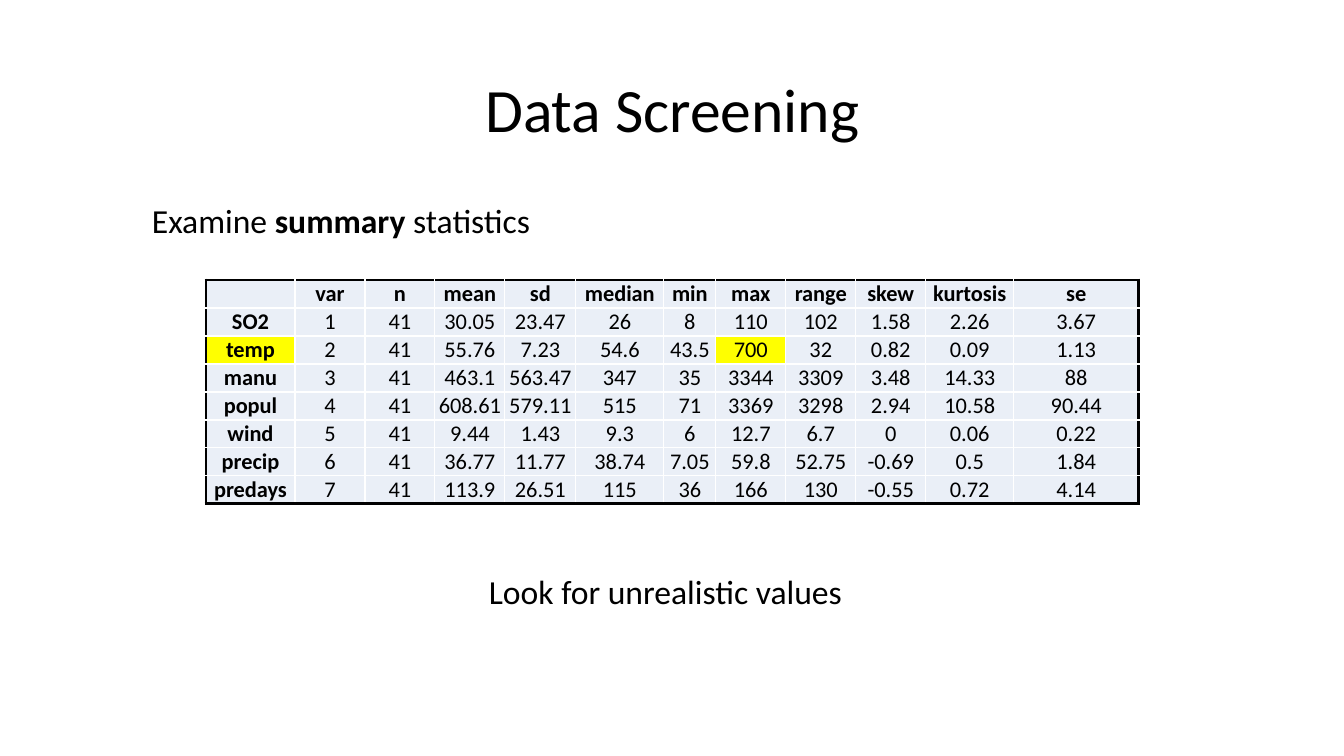
import dataclasses

import lxml.etree
import pptx
import pptx.dml.color
import pptx.enum.text
import pptx.oxml.ns
import pptx.util

SCALE = 12192000 / 1344
ALIGN = pptx.enum.text.PP_ALIGN
ANCHOR = pptx.enum.text.MSO_ANCHOR
FIT = pptx.enum.text.MSO_AUTO_SIZE


@dataclasses.dataclass(frozen=True)
class Theme:
    font: str = "Calibri"
    ink: str = "000000"
    pale: str = "EAEFF7"
    mark: str = "FFFF00"
    grid: str = "FFFFFF"
    title: int = 44
    body: int = 24
    cell: int = 16
    thin: float = 1
    thick: float = 2.25


THEME = Theme()

HEADS = ["", "var", "n", "mean", "sd", "median", "min", "max", "range", "skew", "kurtosis", "se"]
ROWS = [
    ["SO2", "1", "41", "30.05", "23.47", "26", "8", "110", "102", "1.58", "2.26", "3.67"],
    ["temp", "2", "41", "55.76", "7.23", "54.6", "43.5", "700", "32", "0.82", "0.09", "1.13"],
    ["manu", "3", "41", "463.1", "563.47", "347", "35", "3344", "3309", "3.48", "14.33", "88"],
    ["popul", "4", "41", "608.61", "579.11", "515", "71", "3369", "3298", "2.94", "10.58", "90.44"],
    ["wind", "5", "41", "9.44", "1.43", "9.3", "6", "12.7", "6.7", "0", "0.06", "0.22"],
    ["precip", "6", "41", "36.77", "11.77", "38.74", "7.05", "59.8", "52.75", "-0.69", "0.5", "1.84"],
    ["predays", "7", "41", "113.9", "26.51", "115", "36", "166", "130", "-0.55", "0.72", "4.14"],
]
WIDTHS = [89, 70, 70, 70, 71, 88, 52, 70, 70, 70, 88, 125]
MARKED = {(2, 0), (2, 7)}


def px(count):
    return pptx.util.Emu(round(count * SCALE))


def tint(code):
    return pptx.dml.color.RGBColor.from_string(code)


def put(frame, text, size, bold=False, align=ALIGN.LEFT, space=None):
    para = frame.paragraphs[0]
    para.alignment = align
    para.line_spacing = space
    for place, part in enumerate(text.split("*")):
        if part:
            run = para.add_run()
            run.text = part
            run.font.name = THEME.font
            run.font.size = pptx.util.Pt(size)
            run.font.bold = bold or place % 2 == 1
            run.font.color.rgb = tint(THEME.ink)
    if not text:
        para._p.get_or_add_endParaRPr().set("sz", str(size * 100))


def head(slide, box, text):
    shape = slide.shapes.title
    shape.left, shape.top, shape.width, shape.height = map(px, box)
    frame = shape.text_frame
    frame.auto_size = FIT.NONE
    frame.vertical_anchor = ANCHOR.MIDDLE
    put(frame, text, THEME.title, align=ALIGN.CENTER, space=0.9)


def note(slide, box, text):
    frame = slide.shapes.add_textbox(*map(px, box)).text_frame
    frame.word_wrap = False
    frame.auto_size = FIT.SHAPE_TO_FIT_TEXT
    put(frame, text, THEME.body)


def edge(cell, side, outer):
    width, code = (THEME.thick, THEME.ink) if outer else (THEME.thin, THEME.grid)
    name = pptx.oxml.ns.qn
    line = lxml.etree.SubElement(cell._tc.get_or_add_tcPr(), name("a:ln" + side))
    line.set("w", str(pptx.util.Pt(width)))
    fill = lxml.etree.SubElement(line, name("a:solidFill"))
    lxml.etree.SubElement(fill, name("a:srgbClr")).set("val", code)


def chart(slide, box, data):
    tall, wide = len(data), len(WIDTHS)
    table = slide.shapes.add_table(tall, wide, *map(px, box)).table
    table.first_row = table.horz_banding = False
    for column, width in zip(table.columns, WIDTHS):
        column.width = px(width)
    for down, values in enumerate(data):
        table.rows[down].height = px(box[3] // tall)
        for across, value in enumerate(values):
            cell = table.cell(down, across)
            cell.margin_left = cell.margin_right = px(1)
            cell.margin_top = cell.margin_bottom = 0
            cell.vertical_anchor = ANCHOR.BOTTOM
            edge(cell, "L", across == 0)
            edge(cell, "R", across == wide - 1)
            edge(cell, "T", down == 0)
            edge(cell, "B", down == tall - 1)
            cell.fill.solid()
            cell.fill.fore_color.rgb = tint(THEME.mark if (down, across) in MARKED else THEME.pale)
            put(cell.text_frame, value, THEME.cell, bold=down == 0 or across == 0, align=ALIGN.CENTER)


def main():
    deck = pptx.Presentation()
    deck.slide_width, deck.slide_height = px(1344), px(756)
    slide = deck.slides.add_slide(deck.slide_layouts[5])
    head(slide, (93, 40, 1159, 146), "Data Screening")
    note(slide, (142, 195, 402, 50), "Examine *summary* statistics")
    chart(slide, (206, 280, sum(WIDTHS), 224), [HEADS] + ROWS)
    note(slide, (479, 566, 385, 50), "Look for unrealistic values")
    deck.save("out.pptx")


if __name__ == "__main__":
    main()
